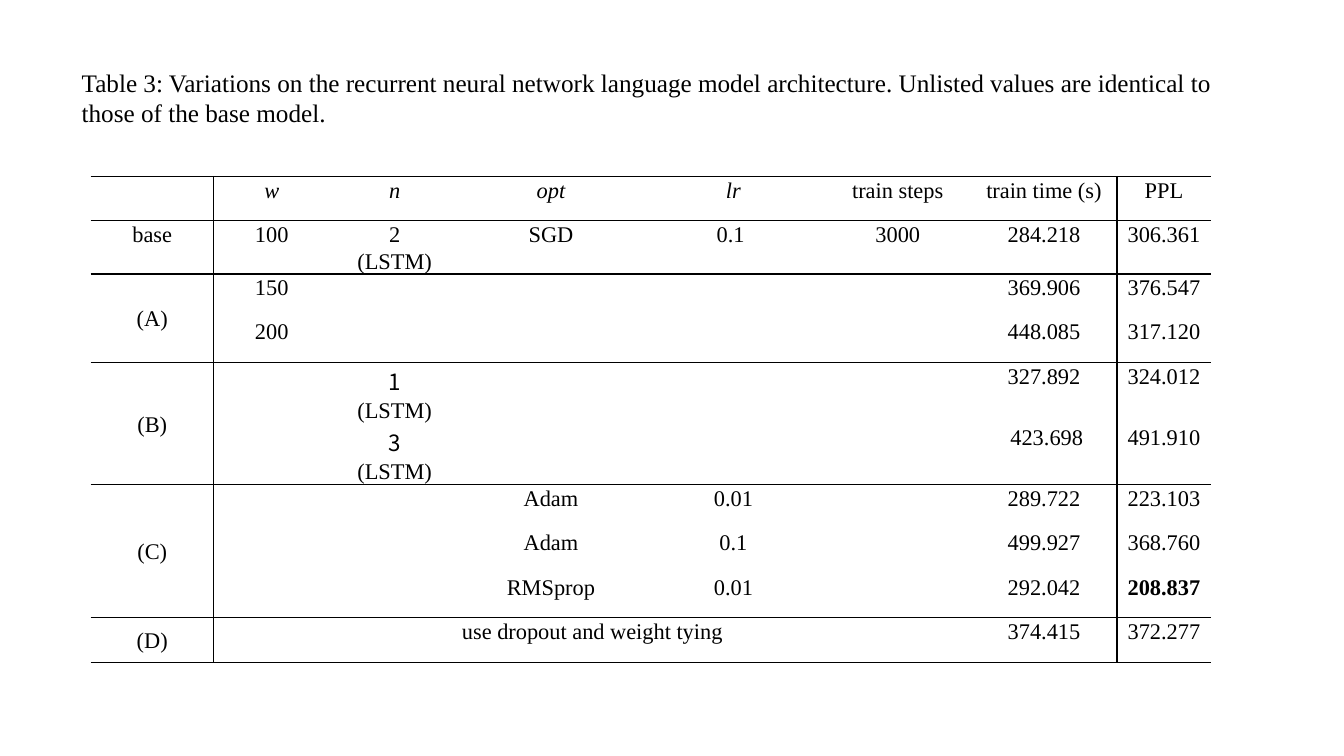
from lxml import etree
from pptx import Presentation
from pptx.dml.color import RGBColor
from pptx.enum.text import MSO_ANCHOR, PP_ALIGN
from pptx.oxml.ns import qn
from pptx.util import Inches, Pt

TOP, MIDDLE = MSO_ANCHOR.TOP, MSO_ANCHOR.MIDDLE
LEFT, CENTER = PP_ALIGN.LEFT, PP_ALIGN.CENTER
SERIF, SANS = "Times New Roman", "Noto Sans CJK KR"
BLACK = "000000"

CAPTION = ("Table 3: Variations on the recurrent neural network language model architecture. "
           "Unlisted values are identical to those of the base model.")
HEADER = ["w", "n", "opt", "lr", "train steps", "train time (s)", "PPL"]
# Each group: its label and its rows of values under HEADER
GROUPS = [
    ("", [HEADER]),
    ("base", [["100", "2\n(LSTM)", "SGD", "0.1 ", "3000", "284.218", "306.361"]]),
    ("(A)", [["150", "", "", "", "", "369.906", "376.547"],
             ["200", "", "", "", "", "448.085", "317.120"]]),
    ("(B)", [["", "1\n(LSTM)", "", "", "", "327.892", "324.012"],
             ["", "3\n(LSTM)", "", "", "", " 423.698", "491.910"]]),
    ("(C)", [["", "", "Adam", "0.01", "", "289.722", "223.103"],
             ["", "", "Adam", "0.1", "", "499.927", "368.760"],
             ["", "", "RMSprop", "0.01", "", "292.042", "208.837"]]),
    ("(D)", [["use dropout and weight tying", "", "", "", "", "374.415", "372.277"]]),
]
ITALIC_HEADINGS = HEADER[:4]
BEST_PPL = "208.837"
SETTINGS_SPAN = 5
COLUMN_WIDTHS = [1.22, 1.15, 1.29, 1.81, 1.81, 1.45, 1.45, 0.93]
ROW_HEIGHT = 0.44
RULED_COLUMNS = (1, len(HEADER))  # a vertical rule stands left of these


def color(hex_code):
    return RGBColor.from_string(hex_code)


def write(frame, text, size=16, align=CENTER, spacing=None, bold=False, italic=False,
          first_line_font=SERIF):
    """Fill a text frame, one paragraph per line of text."""
    frame.text = text
    for index, paragraph in enumerate(frame.paragraphs):
        paragraph.alignment = align
        paragraph.line_spacing = spacing
        for run in paragraph.runs:
            font = run.font
            font.name = SERIF if index else first_line_font
            font.size = Pt(size)
            font.bold, font.italic = bold, italic
            font.color.rgb = color(BLACK)
            if font.name == SANS:
                for script in ("a:ea", "a:cs"):
                    etree.SubElement(run._r.rPr, qn(script), typeface=SANS)


def rule_cell(cell, **edges):
    """Draw a 1 pt rule on each true edge and none on the others."""
    properties = cell._tc.get_or_add_tcPr()
    for side, ruled in edges.items():
        line = etree.SubElement(properties, qn(f"a:ln{side}"), w=str(Pt(1)))
        if ruled:
            fill = etree.SubElement(line, qn("a:solidFill"))
            etree.SubElement(fill, qn("a:srgbClr"), val=BLACK)
        else:
            etree.SubElement(line, qn("a:noFill"))


def add_caption(slide):
    caption = slide.shapes.title
    caption.left, caption.top = Inches(0.71), Inches(0.62)
    caption.width, caption.height = Inches(11.91), Inches(0.71)
    frame = caption.text_frame
    frame.word_wrap = True
    frame.vertical_anchor = TOP
    write(frame, CAPTION, size=18, align=LEFT)


def add_grid(slide, row_count):
    grid = slide.shapes.add_table(
        row_count, len(COLUMN_WIDTHS), Inches(0.9), Inches(1.75),
        Inches(sum(COLUMN_WIDTHS)), Inches(ROW_HEIGHT * row_count)).table
    grid.first_row = grid.horz_banding = False
    for column, width in zip(grid.columns, COLUMN_WIDTHS):
        column.width = Inches(width)
    for row in grid.rows:
        row.height = Inches(ROW_HEIGHT)
    return grid


def fill_cell(cell, text, **text_format):
    if text:
        cell.margin_left = cell.margin_right = Inches(0.07)
        cell.margin_top = cell.margin_bottom = 0
        write(cell.text_frame, text, spacing=1.07, **text_format)


def fill_group(grid, start, label, rows):
    end = start + len(rows)
    label_cell = grid.cell(start, 0)
    if len(rows) > 1:
        label_cell.merge(grid.cell(end - 1, 0))
    if label.startswith("("):
        label_cell.vertical_anchor = MIDDLE
    fill_cell(label_cell, label)
    if label == "(D)":
        grid.cell(start, 1).merge(grid.cell(start, SETTINGS_SPAN))

    for row, values in enumerate(rows, start):
        for column, value in enumerate(values, 1):
            fill_cell(grid.cell(row, column), value,
                      italic=value in ITALIC_HEADINGS, bold=value == BEST_PPL,
                      first_line_font=SANS if label == "(B)" and column == 2 else SERIF)
        for column in range(len(COLUMN_WIDTHS)):
            cell = grid.cell(row, column)
            rule_cell(cell, L=column in RULED_COLUMNS,
                      R=column + cell.span_width in RULED_COLUMNS,
                      T=row == start, B=row + cell.span_height == end)
            cell.fill.background()


def main():
    deck = Presentation()
    deck.slide_width, deck.slide_height = Inches(13.33), Inches(7.5)
    slide = deck.slides.add_slide(deck.slide_layouts[5])
    grid = add_grid(slide, sum(len(rows) for _, rows in GROUPS))
    start = 0
    for label, rows in GROUPS:
        fill_group(grid, start, label, rows)
        start += len(rows)
    add_caption(slide)
    deck.save("out.pptx")


if __name__ == "__main__":
    main()
